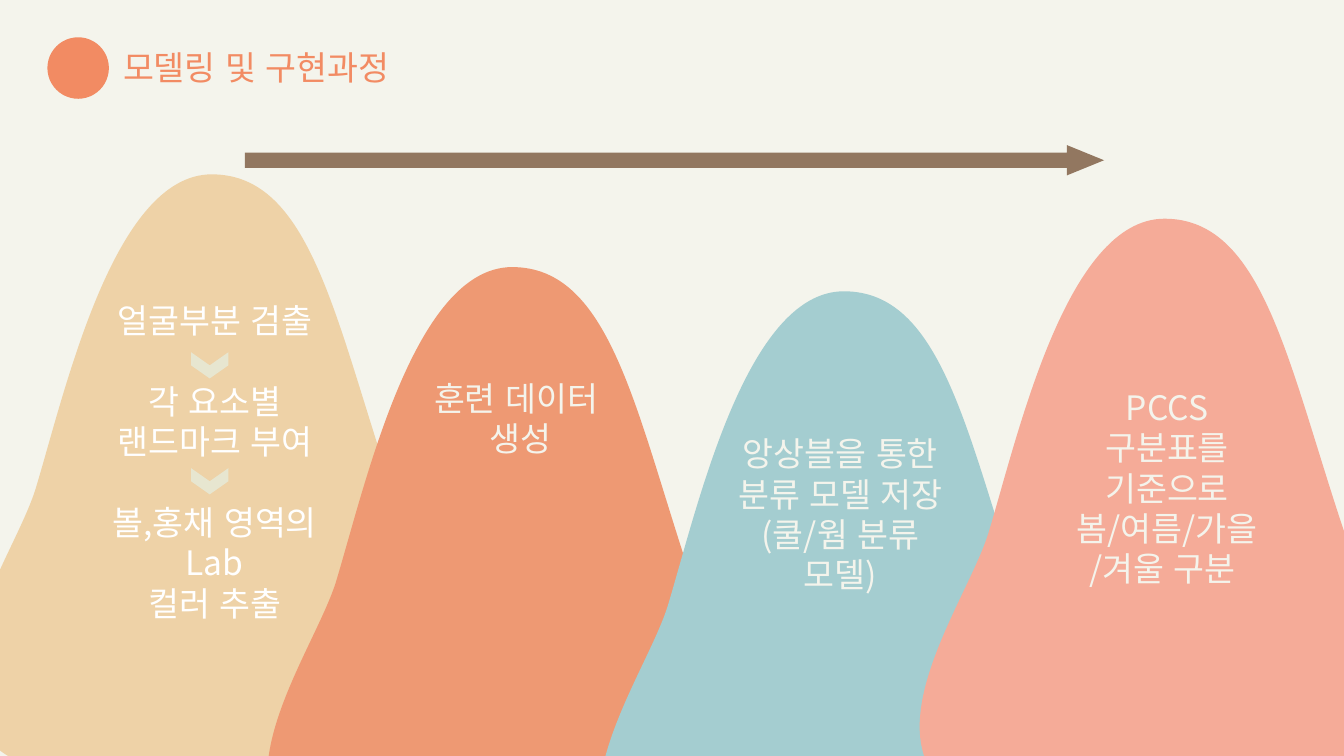
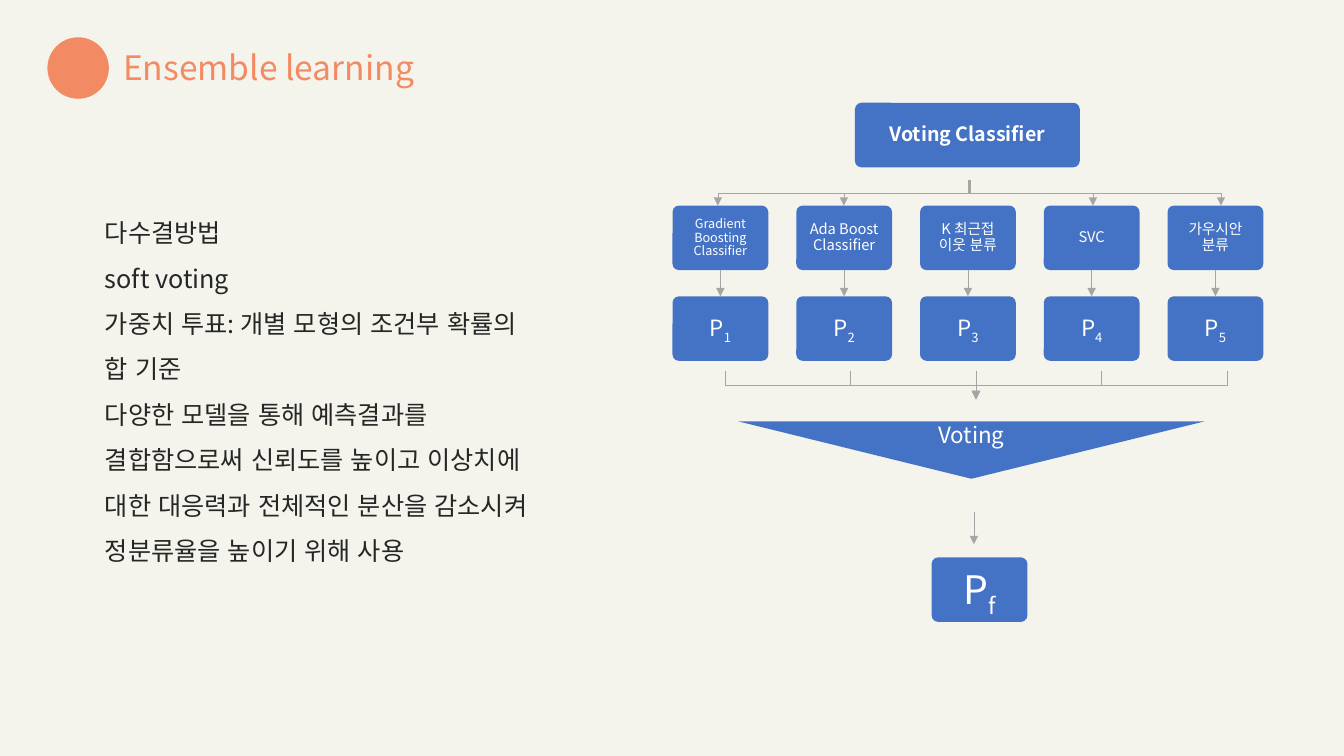
from lxml.etree import SubElement
from pptx import Presentation
from pptx.dml.color import RGBColor
from pptx.enum.lang import MSO_LANGUAGE_ID
from pptx.enum.shapes import MSO_CONNECTOR, MSO_SHAPE
from pptx.enum.text import MSO_ANCHOR, MSO_AUTO_SIZE, PP_ALIGN
from pptx.oxml.ns import qn
from pptx.util import Inches, Pt

FONT = "Noto Sans CJK KR"
PAPER = RGBColor(0xF4, 0xF4, 0xEC)
CORAL = RGBColor(0xF2, 0x8B, 0x63)
SAND = RGBColor(0xEE, 0xD2, 0xA7)
ORANGE = RGBColor(0xEE, 0x99, 0x73)
TEAL = RGBColor(0xA4, 0xCD, 0xD0)
PINK = RGBColor(0xF5, 0xAB, 0x98)
CREAM = RGBColor(0xE7, 0xE6, 0xD0)
BROWN = RGBColor(0x92, 0x77, 0x60)
BLUE = RGBColor(0x44, 0x72, 0xC4)
GRAY = RGBColor(0xA5, 0xA5, 0xA5)
INK = RGBColor(0x26, 0x26, 0x26)
WHITE = RGBColor(0xFF, 0xFF, 0xFF)


def write(frame, lines, size, color, align=PP_ALIGN.CENTER, pitch=1.0, bold=False):
    """Fill a text frame; what follows an underscore is set as subscript."""
    frame.word_wrap = True
    frame.auto_size = MSO_AUTO_SIZE.NONE
    for i, line in enumerate(lines):
        para = frame.add_paragraph() if i else frame.paragraphs[0]
        para.alignment = align
        para.line_spacing = Pt(size * 1.2 * pitch)
        para.space_before = Pt(0)
        for j, part in enumerate(line.split("_")):
            run = para.add_run()
            run.text = part
            run.font.size = Pt(size)
            run.font.bold = bold
            run.font.color.rgb = color
            run.font.name = FONT
            run.font.language_id = MSO_LANGUAGE_ID.KOREAN
            props = run._r.get_or_add_rPr()
            SubElement(props, qn("a:ea"), typeface=FONT)
            if j:
                props.set("baseline", "-25000")


def link(slide, *spots):
    """Draw a thin gray arrow through the spots, bent where there are over two."""
    spots = [(Inches(x), Inches(y)) for x, y in spots]
    if len(spots) == 2:
        line = slide.shapes.add_connector(MSO_CONNECTOR.STRAIGHT, *spots[0], *spots[1])
        SubElement(line._element.spPr, qn("a:effectLst"))
    else:
        pen = slide.shapes.build_freeform(*spots[0])
        pen.add_line_segments(spots[1:], close=False)
        line = pen.convert_to_shape()
        line.shadow.inherit = False
        line.fill.background()
    line.line.color.rgb = GRAY
    line.line.width = Pt(0.5)
    SubElement(line.line._get_or_add_ln(), qn("a:tailEnd"), type="triangle")
    return line


deck = Presentation()
deck.slide_width = Inches(13.33)
deck.slide_height = Inches(7.5)

# Shared look: paper, coral dot and title
slides = []
for layout, title in ((5, "모델링 및 구현과정"), (1, "Ensemble learning")):
    slide = deck.slides.add_slide(deck.slide_layouts[layout])
    for i, (kind, x, y, w, h, color) in enumerate((
            (MSO_SHAPE.RECTANGLE, 0, 0, 13.33, 7.5, PAPER),
            (MSO_SHAPE.OVAL, 0.47, 0.37, 0.61, 0.61, CORAL))):
        part = slide.shapes.add_shape(kind, Inches(x), Inches(y), Inches(w), Inches(h))
        part.shadow.inherit = False
        part.fill.solid()
        part.fill.fore_color.rgb = color
        part.line.fill.background()
        # Place behind the placeholders
        slide.shapes._spTree.insert(2 + i, part._element)
    head = slide.shapes.title
    head.left, head.top = Inches(1.12), Inches(0.42)
    head.width, head.height = Inches(5.54), Inches(0.5)
    head.text_frame.vertical_anchor = MSO_ANCHOR.TOP
    write(head.text_frame, [title], 24, CORAL, PP_ALIGN.LEFT)
    slides.append(slide)
steps, vote = slides

# Slide 1: four hills, one curved outline moved about
START = (0.68, 3.13)
CURVES = (
    ((0.97, 2.18), (1.45, 0), (2.43, 0)),
    ((3.41, 0), (3.65, 1.43), (4.22, 3.13)),
    ((4.57, 5.12), (6.31, 5.8), (2.45, 6.04)),
    ((-1.42, 6.28), (0.38, 4.08), START),
)
for x, y, color in ((-0.33, 1.73, SAND), (2.65, 2.65, ORANGE),
                    (5.94, 2.89, TEAL), (9.12, 2.17, PINK)):
    x, y, w, h = Inches(x), Inches(y), Inches(4.91), Inches(6.06)
    pen = steps.shapes.build_freeform(x, y)
    pen.add_line_segments([(x + w, y), (x + w, y + h), (x, y + h)], close=True)
    hill = pen.convert_to_shape()
    hill.shadow.inherit = False
    hill.fill.solid()
    hill.fill.fore_color.rgb = color
    hill.line.fill.background()
    trace = hill._element.spPr.find(".//" + qn("a:path"))
    for old in list(trace):
        trace.remove(old)
    for tag, spots in [("a:moveTo", [START])] + [("a:cubicBezTo", c) for c in CURVES]:
        move = SubElement(trace, qn(tag))
        for px, py in spots:
            SubElement(move, qn("a:pt"), x=str(int(Inches(px))), y=str(int(Inches(py))))
    SubElement(trace, qn("a:close"))

labels = (
    (0.91, 2.93, 2.44, 3.33, WHITE,
     ["얼굴부분 검출", "각 요소별 랜드마크 부여", "볼,홍채 영역의 Lab", "컬러 추출"]),
    (4.01, 3.7, 2.31, 0.91, PAPER, ["훈련 데이터 ", "생성"]),
    (7.18, 4.25, 2.31, 1.72, PAPER, ["앙상블을 통한 분류 모델 저장 (쿨/웜 분류 모델)"]),
    (10.42, 3.79, 2.31, 1.72, PAPER,
     ["PCCS 구분표를 기준으로 봄/여름/가을", "/겨울 구분 "]),
)
for x, y, w, h, color, lines in labels:
    label = steps.shapes.add_textbox(Inches(x), Inches(y), Inches(w), Inches(h))
    write(label.text_frame, lines, 24, color)
    if len(lines) == 4:
        for para in label.text_frame.paragraphs[1:3]:
            para.space_before = Pt(28.8)

for kind, x, y, w, h, color, turn in (
        (MSO_SHAPE.CHEVRON, 1.95, 3.44, 0.26, 0.37, CREAM, 90),
        (MSO_SHAPE.CHEVRON, 1.95, 4.59, 0.26, 0.37, CREAM, 90),
        (MSO_SHAPE.RIGHT_ARROW, 2.43, 1.44, 8.52, 0.3, BROWN, 0)):
    mark = steps.shapes.add_shape(kind, Inches(x), Inches(y), Inches(w), Inches(h))
    mark.shadow.inherit = False
    mark.rotation = turn
    mark.fill.solid()
    mark.fill.fore_color.rgb = color
    mark.line.fill.background()
    if kind == MSO_SHAPE.RIGHT_ARROW:
        mark.adjustments[1] = 1.225

# Slide 2: list
body = vote.placeholders[1]
body.left, body.top = Inches(0.94), Inches(1.96)
body.width, body.height = Inches(4.54), Inches(4.19)
write(body.text_frame, [
    "다수결방법",
    "soft voting",
    "가중치 투표: 개별 모형의 조건부 확률의 합 기준",
    "다양한 모델을 통해 예측결과를 결합함으로써 신뢰도를 높이고 이상치에 "
    "대한 대응력과 전체적인 분산을 감소시켜 정분류율을 높이기 위해 사용",
], 18, INK, PP_ALIGN.LEFT, 1.5)
for para in body.text_frame.paragraphs:
    props = para._p.get_or_add_pPr()
    props.set("marL", "0")
    props.set("indent", "0")
    SubElement(props, qn("a:buNone"))

# Slide 2: split above the models
for x1, x2 in ((9.6, 10.84), (9.61, 7.12), (9.62, 8.37), (9.62, 12.11)):
    link(vote, (x1, 1.79), (x1, 1.92), (x2, 1.92), (x2, 2.04))

# Voting chart
LEFT, STEP, WIDE, TALL = 6.67, 1.2275, 0.95, 0.64
ROUND = MSO_SHAPE.ROUNDED_RECTANGLE
models = (("Gradient Boosting Classifier", 9), ("Ada Boost Classifier", 10.5),
          ("K 최근접 이웃 분류", 10.5), ("SVC", 10.5), ("가우시안 분류", 10.5))
nodes = [(ROUND, 8.48, 1.02, 2.23, TALL, "Voting Classifier", 14)]
for i, (name, size) in enumerate(models):
    x = LEFT + i * STEP
    nodes.append((ROUND, x, 2.04, WIDE, TALL, name, size))
    nodes.append((ROUND, x, 2.94, WIDE, TALL, f"P_{i + 1}", 16))
nodes.append((MSO_SHAPE.FLOWCHART_MERGE, 7.32, 4.18, 4.63, 0.57, "Voting", 16))
nodes.append((ROUND, 9.24, 5.53, WIDE, TALL, "P_f", 28))

boxes = []
for kind, x, y, w, h, text, size in nodes:
    box = vote.shapes.add_shape(kind, Inches(x), Inches(y), Inches(w), Inches(h))
    box.shadow.inherit = False
    box.fill.solid()
    box.fill.fore_color.rgb = BLUE
    box.line.fill.background()
    frame = box.text_frame
    frame.vertical_anchor = MSO_ANCHOR.MIDDLE
    pad = 0
    if kind == ROUND:
        box.adjustments[0] = 0.1
        pad = Inches(0.04)
    frame.margin_left = frame.margin_right = pad
    frame.margin_top = frame.margin_bottom = pad
    if "_" in text:
        frame.margin_top = pad + Inches(size * 0.0055)
    write(frame, [text], size, WHITE, pitch=0.9, bold=text == "Voting Classifier")
    boxes.append(box)

for i in range(len(models)):
    mid = LEFT + i * STEP + WIDE / 2
    arrow = link(vote, (mid, 2.68), (mid, 2.94))
    arrow.begin_connect(boxes[1 + 2 * i], 2)
    arrow.end_connect(boxes[2 + 2 * i], 0)

# Merge below the results
HUB = 9.68
for i in range(len(models)):
    x = HUB + (i - 2) * 1.245
    bend = [] if i == 2 else [(x, 3.82), (HUB, 3.82)]
    link(vote, (x, 3.68), *bend, (HUB, 3.96))
link(vote, (9.66, 5.08), (9.66, 5.4))

deck.save("out.pptx")
